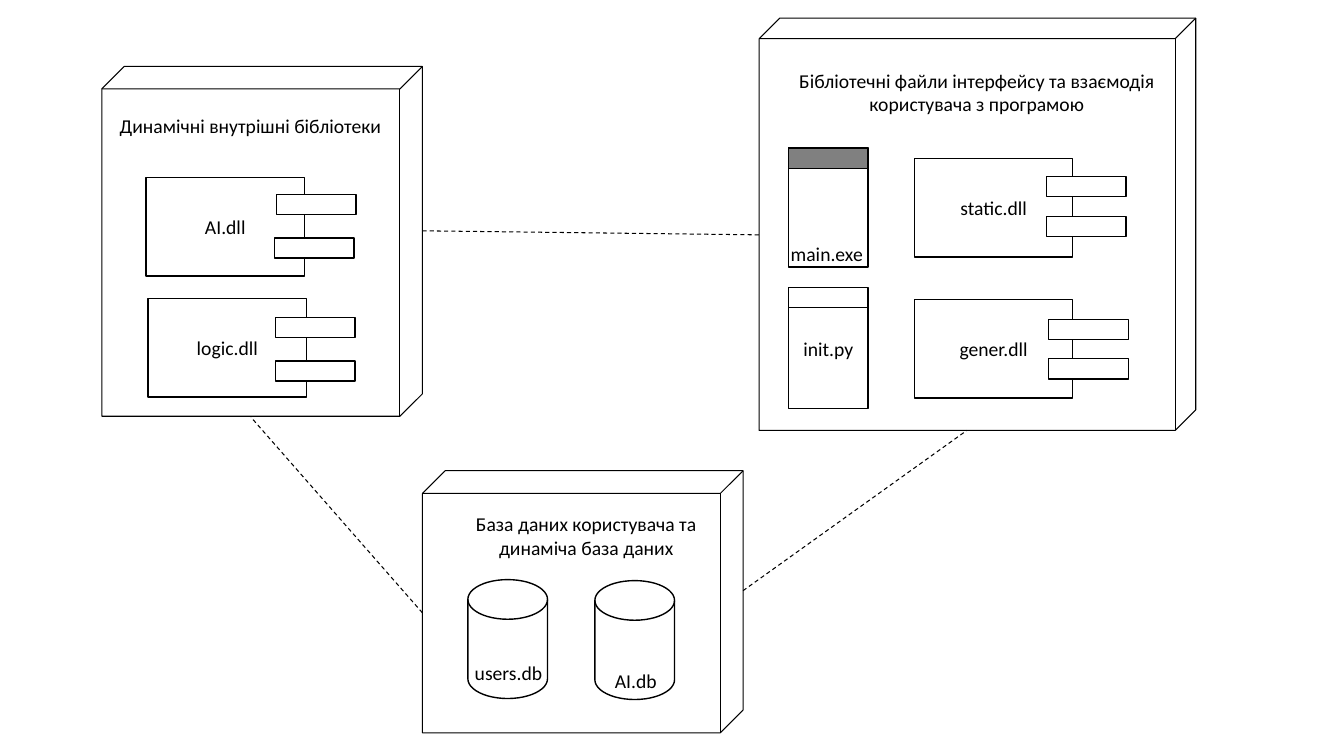
from dataclasses import dataclass

from lxml.etree import SubElement
from pptx import Presentation
from pptx.dml.color import RGBColor
from pptx.enum.dml import MSO_LINE as Dash
from pptx.enum.shapes import MSO_CONNECTOR as Link, MSO_SHAPE as Kind
from pptx.enum.text import MSO_ANCHOR as Anchor, MSO_AUTO_SIZE as Fit, PP_ALIGN as Align
from pptx.oxml.ns import qn
from pptx.util import Inches, Pt

# Grid: 133.3 columns by 75 rows of square cells
CELL = Inches(0.1)
COLS, ROWS = 133.3, 75
INK, PAPER, GREY = "000000", "FFFFFF", "808080"
FILE_W, FILE_H, BAR_H = 7.9, 11.8, 2
PART_W, PART_H = 15.7, 9.8


@dataclass
class Box:
    col: float
    row: float
    wide: float
    high: float


@dataclass
class Node:
    box: Box
    depth: float


@dataclass
class Label:
    text: str
    box: Box
    align: Align = Align.CENTER
    wrap: bool = True


@dataclass
class Part:
    name: str
    col: float
    row: float
    tabs: tuple[tuple[float, float], ...]


@dataclass
class Wire:
    start: tuple[float, float]
    end: tuple[float, float]


NODES = [
    Node(Box(41.9, 46.7, 31.8, 26), 0.087),
    Node(Box(75.3, 1.8, 43.3, 40.9), 0.05),
    Node(Box(10.1, 6.6, 31.8, 34.7), 0.07),
]
DISKS = [(46.4, 57.5), (59, 57.6)]
PARTS = [
    Part("static.dll", 90.7, 15.7, ((103.8, 17.5), (103.8, 21.5))),
    Part("gener.dll", 90.7, 29.7, ((104, 31.7), (104, 35.6))),
    Part("AI.dll", 14.5, 17.6, ((27.4, 19.3), (27.2, 23.6))),
    Part("logic.dll", 14.7, 29.6, ((27.3, 31.5), (27.3, 35.8))),
]
LABELS = [
    Label("users.db", Box(46.1, 65.1, 10.5, 3.4), Align.LEFT),
    Label("AI.db", Box(60, 65.9, 10.5, 3.4), Align.LEFT),
    Label("База даних користувача та динаміча база даних", Box(42.6, 50.3, 31.1, 5.7)),
    Label("Бібліотечні файли інтерфейсу та взаємодія користувача з програмою",
          Box(78.1, 6.3, 37.6, 5.7)),
    Label("main.exe", Box(77.4, 23.5, 9.2, 3.4), wrap=False),
    Label("Динамічні внутрішні бібліотеки", Box(9.3, 10.8, 31.1, 3.4)),
]
WIRES = [
    Wire((41.9, 60.8), (24.9, 41.4)),
    Wire((41.9, 22.9), (75.3, 23.3)),
    Wire((73.7, 58.6), (95.9, 42.7)),
]

deck = Presentation()
deck.slide_width, deck.slide_height = int(COLS * CELL), ROWS * CELL
slide = deck.slides.add_slide(deck.slide_layouts[6])


def grid(*cells: float) -> list[int]:
    return [round(cell * CELL) for cell in cells]


def place(box: Box) -> list[int]:
    return grid(box.col, box.row, box.wide, box.high)


def tint(code: str) -> RGBColor:
    return RGBColor.from_string(code)


def write(frame, text: str, align: Align = Align.CENTER) -> None:
    frame.text = text
    para = frame.paragraphs[0]
    para.alignment = align
    font = para.runs[0].font
    font.name, font.size = "Calibri", Pt(14)
    font.color.rgb = tint(INK)


def draw(kind: Kind, box: Box, fill: str | None = PAPER, line: float = 1, text: str = ""):
    shape = slide.shapes.add_shape(kind, *place(box))
    shape.shadow.inherit = False
    if fill:
        shape.fill.solid()
        shape.fill.fore_color.rgb = tint(fill)
    else:
        shape.fill.background()
    shape.line.color.rgb = tint(INK)
    shape.line.width = Pt(line)
    if text:
        shape.text_frame.vertical_anchor = Anchor.MIDDLE
        write(shape.text_frame, text)
    return shape


def draw_part(part: Part) -> None:
    draw(Kind.RECTANGLE, Box(part.col, part.row, PART_W, PART_H), text=part.name)
    for col, row in part.tabs:
        draw(Kind.RECTANGLE, Box(col, row, FILE_W, BAR_H))


def draw_file(col: float, row: float, top: float, fill: str, name: str = "") -> None:
    draw(Kind.RECTANGLE, Box(col, row, FILE_W, FILE_H), text=name)
    draw(Kind.RECTANGLE, Box(col, top, FILE_W, BAR_H), fill)


def draw_label(label: Label) -> None:
    frame = slide.shapes.add_textbox(*place(label.box)).text_frame
    frame.word_wrap = label.wrap
    frame.auto_size = Fit.SHAPE_TO_FIT_TEXT
    write(frame, label.text, label.align)


def draw_wire(wire: Wire) -> None:
    line = slide.shapes.add_connector(Link.STRAIGHT, *grid(*wire.start, *wire.end))
    line.line.color.rgb = tint(INK)
    line.line.width = Pt(0.75)
    line.line.dash_style = Dash.DASH
    SubElement(line._element.spPr, qn("a:effectLst"))


# Deployment nodes
for node in NODES:
    cube = draw(Kind.CUBE, node.box, None, 0.75)
    cube.adjustments[0] = node.depth

# Databases, libraries and program files
for col, row in DISKS:
    draw(Kind.FLOWCHART_MAGNETIC_DISK, Box(col, row, FILE_W, FILE_H))
for part in PARTS:
    draw_part(part)
draw_file(78.2, 28.7, 28.5, PAPER, "init.py")
draw_file(78.2, 14.7, 14.7, GREY)

# Captions and links between the nodes
for label in LABELS:
    draw_label(label)
for wire in WIRES:
    draw_wire(wire)

deck.save("out.pptx")
